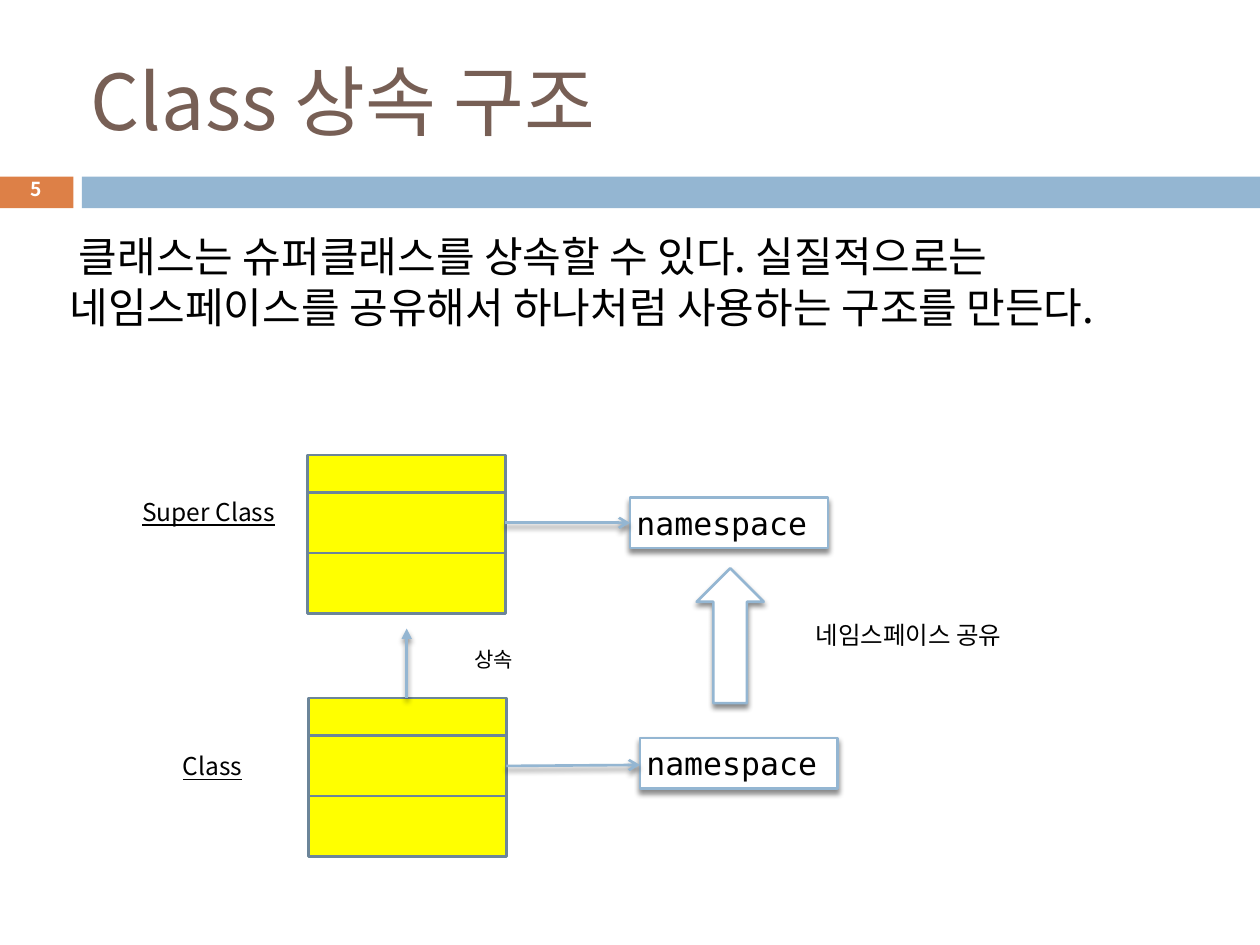
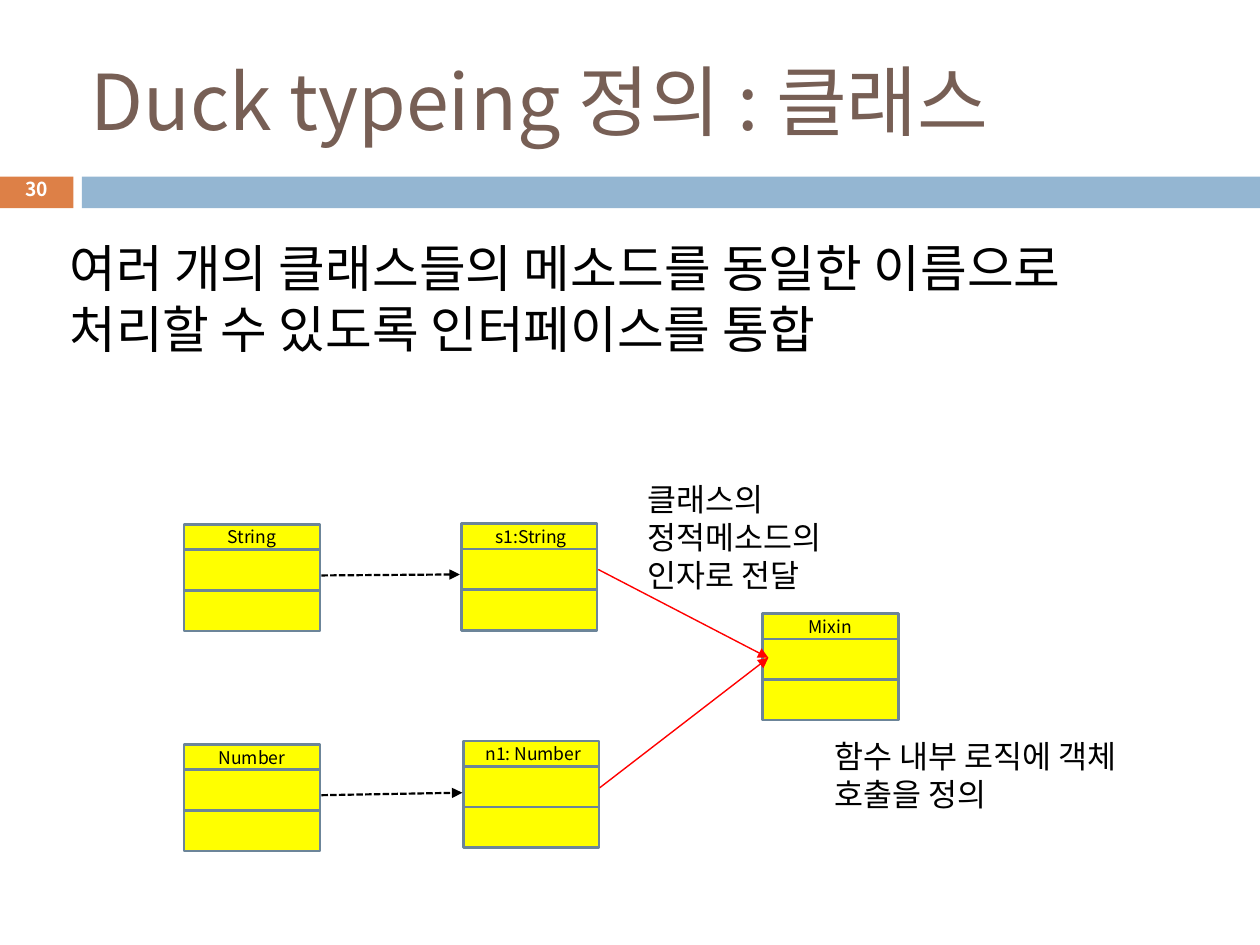
"""Build two slides on class inheritance and duck typing."""
from lxml import etree
from pptx import Presentation
from pptx import util as u
from pptx.dml.color import RGBColor
from pptx.enum import dml, shapes, text
from pptx.oxml.ns import qn

ORANGE = RGBColor(0xDD, 0x80, 0x47)
BLUE = RGBColor(0x94, 0xB6, 0xD2)
BROWN = RGBColor(0x77, 0x5F, 0x55)
SLATE = RGBColor(0x6C, 0x85, 0x99)
YELLOW = RGBColor(0xFF, 0xFF, 0x00)
RED = RGBColor(0xFF, 0x00, 0x00)
BLACK = RGBColor(0x00, 0x00, 0x00)
WHITE = RGBColor(0xFF, 0xFF, 0xFF)

SANS = "Noto Sans CJK KR"
MONO = "DejaVu Sans Mono"
LEFT, CENTER = text.PP_ALIGN.LEFT, text.PP_ALIGN.CENTER
TOP, MIDDLE = text.MSO_ANCHOR.TOP, text.MSO_ANCHOR.MIDDLE
RECTANGLE = shapes.MSO_SHAPE.RECTANGLE


def add_shadow(effects):
    """Put a soft downward shadow into an effect list."""
    shadow = etree.SubElement(effects, qn("a:outerShdw"), blurRad="38100",
                              dist="30480", dir="5400000", rotWithShape="0")
    color = etree.SubElement(shadow, qn("a:srgbClr"), val="000000")
    etree.SubElement(color, qn("a:alpha"), val="45000")


def write(shape, words, size=18, font=SANS, color=BLACK, align=LEFT, anchor=TOP,
          bold=False, underline=False, wrap=True, before=0, spacing=None):
    """Write one paragraph into a shape."""
    frame = shape.text_frame
    frame.word_wrap = wrap
    frame.vertical_anchor = anchor
    frame.margin_left = frame.margin_right = u.Cm(0.13)
    frame.margin_top = frame.margin_bottom = u.Cm(0.13)
    para = frame.paragraphs[0]
    para.alignment = align
    para.space_before = u.Pt(before)
    if spacing:
        para.line_spacing = spacing
    span = para.add_run()
    span.text = words
    span.font.size = u.Pt(size)
    span.font.name = font
    span.font.bold = bold
    span.font.underline = underline
    span.font.color.rgb = color
    east = etree.SubElement(span.font._element, qn("a:ea"))
    east.set("typeface", SANS)


def add_label(owner, box, words, **style):
    """Place a text box in the given box."""
    label = owner.shapes.add_textbox(*map(u.Cm, box))
    write(label, words, **style)
    return label


def add_block(owner, box, fill, line=None, kind=RECTANGLE, shadow=False):
    """Place a filled preset shape in the given box."""
    block = owner.shapes.add_shape(kind, *map(u.Cm, box))
    block.fill.solid()
    block.fill.fore_color.rgb = fill
    if line is None:
        block.line.fill.background()
    else:
        block.line.color.rgb = line
        block.line.width = u.Pt(1.5)
    block.shadow.inherit = False
    if shadow:
        add_shadow(block._element.spPr.find(qn("a:effectLst")))
    return block


def add_arrow(page, start, end, color=BLUE, width=1.5, head="arrow",
              dashed=False, shadow=False):
    """Draw a straight arrow from start to end."""
    arrow = page.shapes.add_connector(shapes.MSO_CONNECTOR.STRAIGHT,
                                      *map(u.Cm, (*start, *end)))
    arrow.line.color.rgb = color
    arrow.line.width = u.Pt(width)
    if dashed:
        arrow.line.dash_style = dml.MSO_LINE.SQUARE_DOT
    properties = arrow._element.spPr
    etree.SubElement(properties.find(qn("a:ln")), qn("a:tailEnd"), type=head)
    effects = etree.SubElement(properties, qn("a:effectLst"))
    if shadow:
        add_shadow(effects)


def add_class(page, left, top, width, rows, name=None):
    """Stack the three compartments of a class symbol as a group."""
    group = page.shapes.add_group_shape()
    row_top = top
    for height in rows:
        add_block(group, (left, row_top, width, height), YELLOW, SLATE)
        row_top += height
    if name:
        add_label(group, (left, top - 0.09, width, 0.69), name, size=10,
                  align=CENTER, anchor=MIDDLE)


def add_namespace(page, left, top):
    """Place a shadowed namespace box."""
    block = add_block(page, (left, top, 3.99, 1.02), WHITE, BLUE, shadow=True)
    write(block, "namespace", font=MONO, anchor=MIDDLE)


def add_page(deck, title, number):
    """Add a slide with its title, bands and number."""
    page = deck.slides.add_slide(deck.slide_layouts[6])
    add_block(page, (0, 3.56, 1.48, 0.64), ORANGE)
    add_block(page, (1.65, 3.56, 23.75, 0.64), BLUE)
    add_label(page, (1.7, 0.64, 22.66, 2.74), title, size=44, color=BROWN,
              anchor=MIDDLE)
    add_label(page, (0.36, 3.48, 0.76, 0.76), number, size=11, color=WHITE,
              bold=True, align=CENTER, anchor=MIDDLE, wrap=False, spacing=0.8)
    return page


def build_inheritance(deck):
    """Show a class that shares the namespace of its super class."""
    page = add_page(deck, "Class 상속 구조", "5")
    add_label(page, (1.27, 4.52, 22.86, 3.3),
              " 클래스는 슈퍼클래스를 상속할 수 있다. 실질적으로는 "
              "네임스페이스를 공유해서 하나처럼 사용하는 구조를 만든다.",
              size=24, before=7)
    for left, top in ((6.22, 14.07), (6.2, 9.17)):
        add_class(page, left, top, 3.99, (0.76, 1.22, 1.22))
    for left, top, name in ((2.21, 9.88, "Super Class"), (2.29, 15.01, "Class")):
        add_label(page, (left, top, 3.99, 0.86), name, size=14, align=CENTER,
                  underline=True)
    add_label(page, (8.76, 12.9, 2.39, 0.79), "상속", size=12, align=CENTER)
    add_arrow(page, (8.2, 14.07), (8.2, 12.67), head="triangle", shadow=True)
    add_namespace(page, 12.7, 10.03)
    add_namespace(page, 12.9, 14.88)
    add_arrow(page, (10.19, 10.54), (12.7, 10.54), shadow=True)
    add_arrow(page, (10.21, 15.44), (12.9, 15.42), shadow=True)
    sharing = add_block(page, (13.36, 12.14, 2.72, 1.35), WHITE, BLUE,
                        kind=shapes.MSO_SHAPE.RIGHT_ARROW, shadow=True)
    sharing.rotation = 270
    add_label(page, (16.31, 12.37, 5.59, 0.86), "네임스페이스 공유", size=14)


def build_duck_typing(deck):
    """Show two objects handed to one mixin class."""
    page = add_page(deck, "Duck typeing 정의 : 클래스", "30")
    add_label(page, (1.27, 4.65, 22.86, 3.68),
              "여러 개의 클래스들의 메소드를 동일한 이름으로 "
              "처리할 수 있도록 인터페이스를 통합", size=29, before=7)
    for left, top, name in ((15.37, 12.37, "Mixin"),
                            (3.71, 15.01, "Number"), (3.71, 10.57, "String"),
                            (9.34, 14.94, " n1: Number"),
                            (9.3, 10.56, " s1:String")):
        add_class(page, left, top, 2.74, (0.51, 0.82, 0.82), name)
    for start, end in (((6.48, 16.03), (9.32, 15.98)),
                       ((6.48, 11.6), (9.27, 11.58))):
        add_arrow(page, start, end, BLACK, 1.25, "triangle", dashed=True)
    for start in ((12.06, 11.48), (12.09, 15.88)):
        add_arrow(page, start, (15.49, 13.26), RED, 0.79, "triangle")
    add_label(page, (16.69, 14.73, 7.8, 1.8), "함수 내부 로직에 객체 호출을 정의")
    add_label(page, (12.93, 9.55, 3.81, 2.57), "클래스의 정적메소드의 인자로 전달")


def main():
    """Build the deck and save it."""
    deck = Presentation()
    deck.slide_width, deck.slide_height = u.Cm(25.4), u.Cm(19.05)
    build_inheritance(deck)
    build_duck_typing(deck)
    deck.save("out.pptx")


main()
